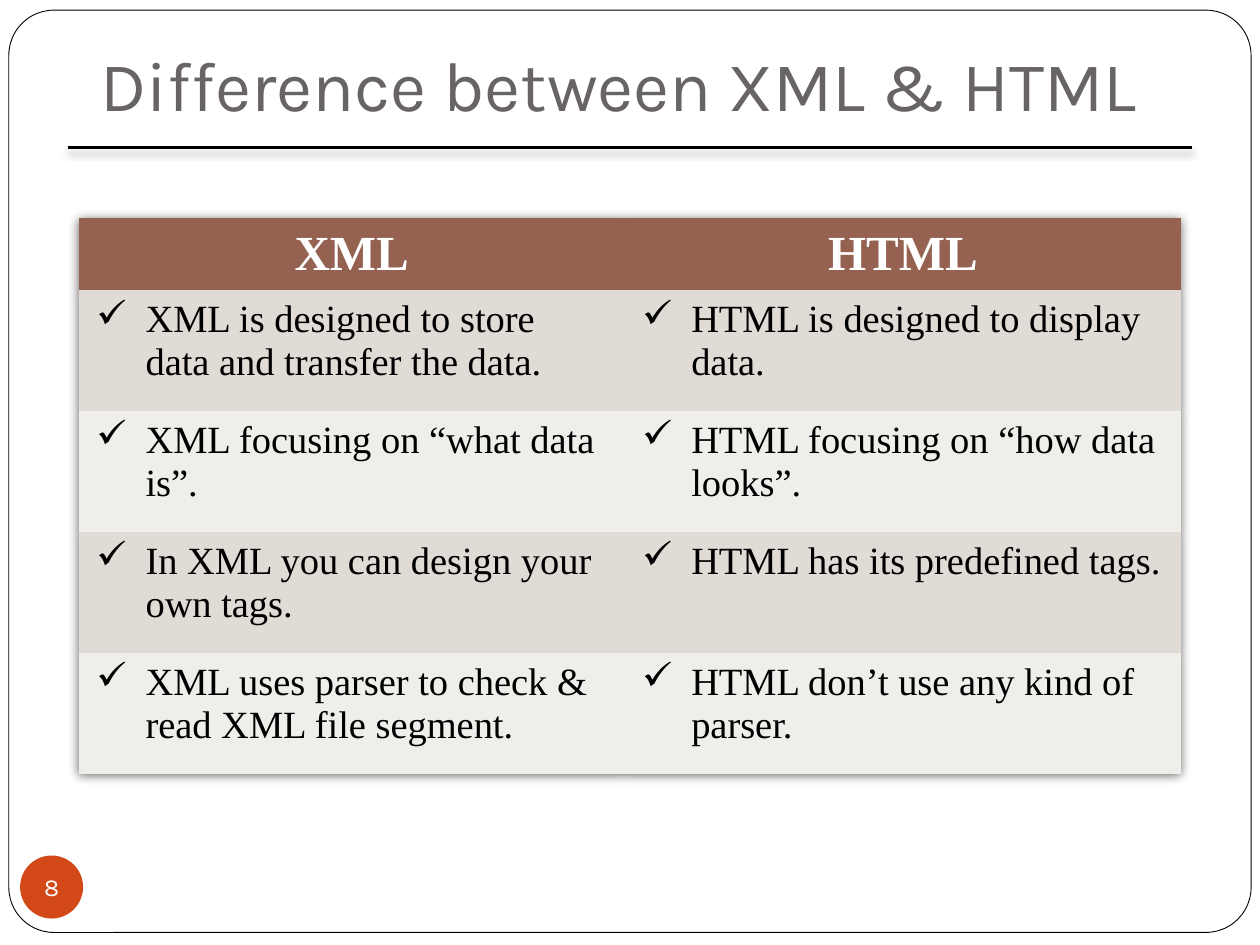
from dataclasses import dataclass
from typing import Any

from lxml.etree import SubElement
from pptx import Presentation
from pptx.dml.color import RGBColor
from pptx.enum.shapes import MSO_CONNECTOR, MSO_SHAPE
from pptx.enum.text import MSO_ANCHOR, MSO_AUTO_SIZE, PP_ALIGN
from pptx.oxml.ns import qn
from pptx.util import Emu, Inches, Pt

LINE = MSO_CONNECTOR.STRAIGHT
ROUND, OVAL = MSO_SHAPE.ROUNDED_RECTANGLE, MSO_SHAPE.OVAL
LEFT, CENTER = PP_ALIGN.LEFT, PP_ALIGN.CENTER
TOP, MIDDLE, BOTTOM = MSO_ANCHOR.TOP, MSO_ANCHOR.MIDDLE, MSO_ANCHOR.BOTTOM
FIXED = MSO_AUTO_SIZE.NONE

WIDTH, HEIGHT = Inches(10), Inches(7.5)
BLACK, WHITE = "000000", "FFFFFF"
BANDS = ("E0DBD4", "F0EEEB")
PLAIN = "{2D5ABB26-0587-4C30-8999-92F81FD0307C}"


@dataclass
class Box:
    x: float
    y: float
    w: float
    h: float

    def place(self) -> tuple[Emu, ...]:
        return (Emu(round(self.x * WIDTH)), Emu(round(self.y * HEIGHT)),
                Emu(round(self.w * WIDTH)), Emu(round(self.h * HEIGHT)))


@dataclass
class Disc:
    kind: Any
    box: Box
    fill: str
    edge: str | None = None


@dataclass
class Row:
    xml: str
    html: str


@dataclass
class Look:
    fill: str
    anchor: Any
    align: Any
    font: dict
    mark: str = ""


ROWS = [
    Row("XML", "HTML"),
    Row("XML is designed to store data and transfer the data.",
        "HTML is designed to display data."),
    Row("XML focusing on “what data is”.",
        "HTML focusing on “how data looks”."),
    Row("In XML you can design your own tags.",
        "HTML has its predefined tags."),
    Row("XML uses parser to check & read XML file segment.",
        "HTML don’t use any kind of parser."),
]
FRAME = Disc(ROUND, Box(0.007, 0.0107, 0.986, 0.976), WHITE, BLACK)
BADGE = Disc(OVAL, Box(0.016, 0.9053, 0.05, 0.0667), "D34817")
HEAD = Box(0.07, 0.0293, 0.85, 0.1173)
RULE = Box(0.054, 0.156, 0.892, 0)
GRID = Box(0.0625, 0.2307, 0.875, 0.5867)
SPLIT = 0.495
TOPROW, BODY = Inches(0.56), Inches(0.96)


def paint(hue: str) -> RGBColor:
    return RGBColor.from_string(hue)


def apply(item: Any, look: dict) -> None:
    for name, value in look.items():
        setattr(item, name, value)


def face(name: str, size: float, hue: str, bold: bool = False) -> dict:
    return {"name": name, "size": Pt(size), "bold": bold, "hue": hue}


def write(para: Any, text: str, font: dict, align: Any) -> None:
    para.alignment = align
    run = para.add_run()
    run.text = text
    apply(run.font, {k: v for k, v in font.items() if k != "hue"})
    run.font.color.rgb = paint(font["hue"])


def shade(part: Any, blur: float, dist: float, alpha: int, at: int) -> None:
    node = SubElement(part, qn("a:effectLst"))
    part.insert(at, node)
    cast = SubElement(node, qn("a:outerShdw"), blurRad=str(Pt(blur)),
                      dist=str(Pt(dist)), dir="5400000", rotWithShape="0")
    hue = SubElement(cast, qn("a:srgbClr"), val=BLACK)
    SubElement(hue, qn("a:alpha"), val=str(alpha * 1000))


def draw(shapes: Any, disc: Disc) -> Any:
    shape = shapes.add_shape(disc.kind, *disc.box.place())
    shape.shadow.inherit = False
    shape.fill.solid()
    shape.fill.fore_color.rgb = paint(disc.fill)
    if disc.edge:
        shape.line.color.rgb = paint(disc.edge)
        shape.line.width = Pt(0.5)
    else:
        shape.line.fill.background()
    return shape


def rule(shapes: Any, box: Box) -> None:
    x, y, w, _ = box.place()
    line = shapes.add_connector(LINE, x, y, x + w, y)
    line.line.color.rgb = paint(BLACK)
    line.line.width = Pt(1.5)
    part = line._element.spPr
    shade(part, 4, 3, 40, len(part))


def head(shapes: Any, text: str) -> None:
    title = shapes.title
    shapes._spTree.append(title._element)
    spot = zip(("left", "top", "width", "height"), HEAD.place())
    apply(title, dict(spot))
    apply(title.text_frame, {
        "auto_size": FIXED, "word_wrap": True, "vertical_anchor": BOTTOM,
        "margin_left": Inches(0.1), "margin_right": Inches(0.1),
        "margin_top": Inches(0.05), "margin_bottom": Inches(0.1)})
    write(title.text_frame.paragraphs[0], text,
          face("Karla", 40, "696464"), LEFT)


def fill(cell: Any, text: str, look: Look) -> None:
    cell.fill.solid()
    cell.fill.fore_color.rgb = paint(look.fill)
    apply(cell, {
        "vertical_anchor": look.anchor,
        "margin_left": Inches(0.14), "margin_right": Inches(0.14),
        "margin_top": Inches(0.07), "margin_bottom": Inches(0.07)})
    para = cell.text_frame.paragraphs[0]
    write(para, text, look.font, look.align)
    if look.mark:
        part = para._p.get_or_add_pPr()
        part.set("marL", str(Inches(0.39)))
        part.set("indent", str(-Inches(0.39)))
        SubElement(part, qn("a:buChar"), char=look.mark)


def grid(shapes: Any) -> None:
    table = shapes.add_table(len(ROWS), 2, *GRID.place()).table
    part = table._tbl.tblPr
    part.find(qn("a:tableStyleId")).text = PLAIN
    shade(part, 6, 1, 60, 0)
    wide = GRID.place()[2]
    for col, share in zip(table.columns, (SPLIT, 1 - SPLIT)):
        col.width = Emu(round(wide * share))
    serif = "Times New Roman"
    top = Look("956251", MIDDLE, CENTER, face(serif, 28, WHITE, True))
    for i, row in enumerate(ROWS):
        table.rows[i].height = BODY if i else TOPROW
        look = Look(BANDS[(i - 1) % 2], TOP, LEFT,
                    face(serif, 22, BLACK), "✓") if i else top
        for j, text in enumerate((row.xml, row.html)):
            fill(table.cell(i, j), text, look)


def main() -> None:
    deck = Presentation()
    apply(deck, {"slide_width": WIDTH, "slide_height": HEIGHT})
    shapes = deck.slides.add_slide(deck.slide_layouts[5]).shapes
    draw(shapes, FRAME).adjustments[0] = 0.049
    frame = draw(shapes, BADGE).text_frame
    apply(frame, {"word_wrap": False, "vertical_anchor": MIDDLE,
                  "margin_left": 0, "margin_right": 0,
                  "margin_top": 0, "margin_bottom": 0})
    write(frame.paragraphs[0], "8", face("Karla", 14, WHITE), CENTER)
    rule(shapes, RULE)
    head(shapes, "Difference between XML & HTML")
    grid(shapes)
    deck.save("out.pptx")


if __name__ == "__main__":
    main()
